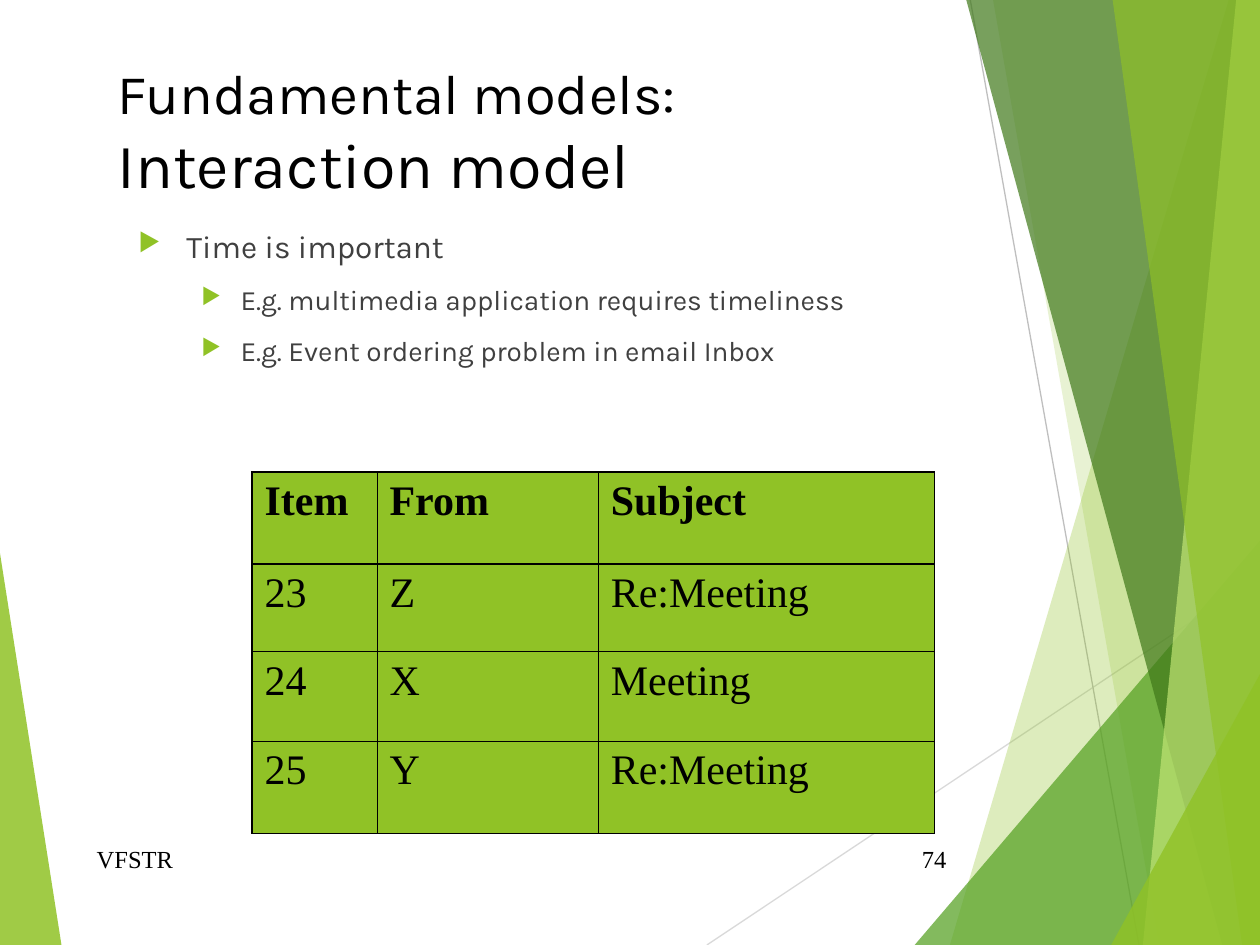
from lxml import etree
from pptx import Presentation
from pptx.dml.color import RGBColor
from pptx.enum.shapes import MSO_CONNECTOR
from pptx.enum.text import MSO_ANCHOR, PP_ALIGN
from pptx.oxml.ns import qn
from pptx.util import Cm, Pt

STRAIGHT = MSO_CONNECTOR.STRAIGHT
TOP, MIDDLE = MSO_ANCHOR.TOP, MSO_ANCHOR.MIDDLE
LEFT, RIGHT = PP_ALIGN.LEFT, PP_ALIGN.RIGHT
WIDTH, HEIGHT = 25.4, 19.05

COLORS = {
    "lime": "90C226",
    "green": "54A021",
    "forest": "3F7819",
    "pale": "C0E474",
    "light_gray": "D9D9D9",
    "gray": "BFBFBF",
    "black": "000000",
    "text": "404040",
}
FORMATS = {
    "title": {"name": "Karla", "size": Pt(32)},
    "subtitle": {"name": "Karla", "size": Pt(36)},
    "topic": {"name": "Karla", "size": Pt(18)},
    "example": {"name": "Karla", "size": Pt(16)},
    "footer": {"name": "Times New Roman", "size": Pt(14)},
    "header": {"name": "Times New Roman", "size": Pt(24), "bold": True},
    "cell": {"name": "Times New Roman", "size": Pt(24), "bold": False},
}
INDENTS = {"topic": (0, 0.97, -0.97), "example": (1, 2.06, -0.79)}


class SlideBuilder:
    """Draws styled elements on the current slide."""

    def __init__(self, presentation):
        self.slide = presentation.slides.add_slide(presentation.slide_layouts[6])
        self.shapes = self.slide.shapes

    def color(self, name):
        return RGBColor.from_string(COLORS[name])

    def element(self, parent, tag, **attributes):
        return etree.SubElement(parent, qn(f"a:{tag}"), attributes)

    def run(self, paragraph, text, style, color="black"):
        run = paragraph.add_run()
        run.text = text
        for name, value in FORMATS[style].items():
            setattr(run.font, name, value)
        run.font.color.rgb = self.color(color)

    def facet(self, color, opacity, points):
        start, *others = [(Cm(x), Cm(y)) for x, y in points]
        builder = self.shapes.build_freeform(*start)
        builder.add_line_segments(others)
        shape = builder.convert_to_shape()
        shape.shadow.inherit = False
        shape.line.fill.background()
        shape.fill.solid()
        shape.fill.fore_color.rgb = self.color(color)
        fill_color = next(shape._element.spPr.iter(qn("a:srgbClr")))
        self.element(fill_color, "alpha", val=str(opacity * 1000))

    def line(self, color, *ends):
        connector = self.shapes.add_connector(STRAIGHT, *map(Cm, ends))
        connector.line.width = Pt(0.75)
        connector.line.color.rgb = self.color(color)
        self.element(connector._element.spPr, "effectLst")

    def text_box(self, bounds, anchor=TOP):
        frame = self.shapes.add_textbox(*map(Cm, bounds)).text_frame
        frame.word_wrap = True
        frame.vertical_anchor = anchor
        return frame

    def title(self, bounds, first, second):
        paragraph = self.text_box(bounds).paragraphs[0]
        self.run(paragraph, first, "title")
        paragraph.add_line_break()
        self.run(paragraph, second, "subtitle")

    def footer(self, bounds, text, alignment):
        paragraph = self.text_box(bounds, MIDDLE).paragraphs[0]
        paragraph.alignment = alignment
        self.run(paragraph, text, "footer")

    def bullets(self, bounds, items):
        frame = self.text_box(bounds)
        for index, (style, text) in enumerate(items):
            paragraph = frame.add_paragraph() if index else frame.paragraphs[0]
            level, margin, indent = INDENTS[style]
            paragraph.level = level
            paragraph.space_before = Pt(10 if index else 0)
            properties = paragraph._p.get_or_add_pPr()
            properties.set("marL", str(Cm(margin)))
            properties.set("indent", str(Cm(indent)))
            bullet_color = self.element(properties, "buClr")
            self.element(bullet_color, "srgbClr", val=COLORS["lime"])
            self.element(properties, "buSzPct", val="80000")
            self.element(properties, "buChar", char="▶")
            self.run(paragraph, text, style, "text")

    def border(self, cell, side, points):
        properties = cell._tc.get_or_add_tcPr()
        line = self.element(properties, f"ln{side}", w=str(Pt(points)))
        fill = self.element(line, "solidFill")
        self.element(fill, "srgbClr", val=COLORS["black"])

    def table(self, left, top, widths, heights, rows):
        bounds = map(Cm, (left, top, sum(widths), sum(heights)))
        table = self.shapes.add_table(len(rows), len(widths), *bounds).table
        for column, width in zip(table.columns, widths):
            column.width = Cm(width)
        last_row, last_column = len(rows) - 1, len(widths) - 1
        for r, values in enumerate(rows):
            table.rows[r].height = Cm(heights[r])
            for c, text in enumerate(values):
                cell = table.cell(r, c)
                heavy = {
                    "L": c == 0,
                    "R": c == last_column,
                    "T": r <= 1,
                    "B": r in (0, last_row),
                }
                for side, is_heavy in heavy.items():
                    self.border(cell, side, 1.08 if is_heavy else 0.45)
                cell.fill.solid()
                cell.fill.fore_color.rgb = self.color("lime")
                style = "cell" if r else "header"
                self.run(cell.text_frame.paragraphs[0], text, style)


def main():
    presentation = Presentation()
    presentation.slide_width, presentation.slide_height = Cm(WIDTH), Cm(HEIGHT)
    builder = SlideBuilder(presentation)

    builder.facet("lime", 85, [(0, 11.15), (1.24, HEIGHT), (0, HEIGHT)])
    builder.line("light_gray", 14.25, HEIGHT, WIDTH, 11.61)
    builder.line("gray", 19.56, 0, 22.96, HEIGHT)
    facets = [
        ("lime", 30, 24.77, 0, 19.15),
        ("lime", 20, 20.02, 0, 23.37),
        ("green", 72, WIDTH, 10.9, 18.44),
        ("forest", 70, 19.48, 0, 24.64),
        ("pale", 70, 24.92, 0, 23.04),
        ("lime", 65, 22.43, 0, 25.04),
        ("lime", 80, WIDTH, 13.59, 22.4),
    ]
    for color, opacity, upper_x, upper_y, lower_x in facets:
        points = [(upper_x, upper_y), (lower_x, HEIGHT), (WIDTH, HEIGHT)]
        if upper_x < WIDTH:
            points.append((WIDTH, upper_y))
        builder.facet(color, opacity, points)

    builder.title((2.12, 1.06, 21.38, 2.96), "Fundamental models:", "Interaction model")
    builder.bullets((2.54, 4.45, 21.38, 12.9), [
        ("topic", "Time is important"),
        ("example", "E.g. multimedia application requires timeliness"),
        ("example", "E.g. Event ordering problem in email Inbox"),
    ])
    builder.footer((1.7, 16.8, 12.85, 1.02), "VFSTR", LEFT)
    builder.footer((17.9, 16.8, 1.43, 1.02), "74", RIGHT)
    builder.table(5.08, 9.52, [2.52, 4.46, 6.78], [1.85, 1.77, 1.8, 1.86], [
        ("Item", "From", "Subject"),
        ("23", "Z", "Re:Meeting"),
        ("24", "X", "Meeting"),
        ("25", "Y", "Re:Meeting"),
    ])
    presentation.save("out.pptx")


if __name__ == "__main__":
    main()
